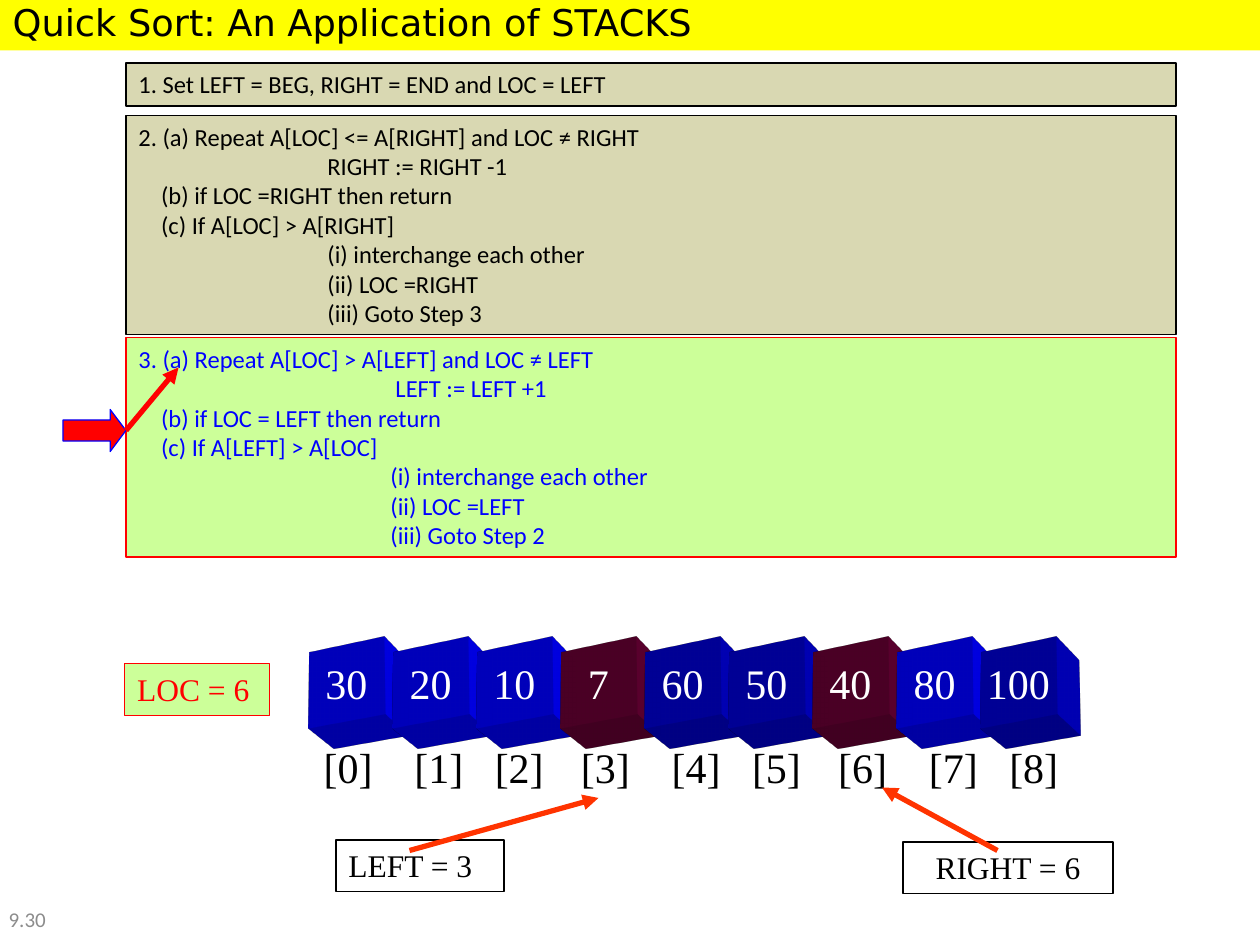
from lxml import etree
from pptx import Presentation
from pptx import util as u
from pptx.dml.color import RGBColor
from pptx.enum import shapes, text
from pptx.oxml import parse_xml
from pptx.oxml.ns import qn

NS = 'xmlns:a="http://schemas.openxmlformats.org/drawingml/2006/main"'
SERIF = "Times New Roman"


def rgb(h):
    """Turn a hex string into a colour."""
    return RGBColor.from_string(h)


def write(tf, content, size=14, font="Calibri", color="000000", align="LEFT",
          anchor="TOP", wrap=True):
    """Fill a frame with lines, each a string or an (indent in inches, string) pair."""
    tf.word_wrap = wrap
    tf.auto_size = text.MSO_AUTO_SIZE.NONE
    tf.vertical_anchor = getattr(text.MSO_ANCHOR, anchor)
    lines = [content] if isinstance(content, str) else content
    for i, line in enumerate(lines):
        indent, words = (0, line) if isinstance(line, str) else line
        p = tf.paragraphs[0] if i == 0 else tf.add_paragraph()
        pPr = p._p.get_or_add_pPr()
        pPr.set("marL", str(u.Inches(indent)))
        pPr.set("indent", "0")
        p.alignment = getattr(text.PP_ALIGN, align)
        r = p.add_run()
        r.text = words
        r.font.size, r.font.name = u.Pt(size), font
        r.font.color.rgb = rgb(color)


class Deck:
    """Holds the style and the current slide, on a grid of 120 columns by 90 rows."""

    def __init__(self):
        """Start a deck with one title-only slide."""
        self.prs = Presentation()
        self.prs.slide_width, self.prs.slide_height = u.Inches(10), u.Inches(7.5)
        self.s = self.prs.slides.add_slide(self.prs.slide_layouts[5])

    def at(self, *cells):
        """Convert grid columns and rows to lengths."""
        steps = self.prs.slide_width / 120, self.prs.slide_height / 90
        return [u.Emu(round(c * steps[i % 2])) for i, c in enumerate(cells)]

    def title(self, words, box, fill):
        """Place the title on a coloured band."""
        sp = self.s.shapes.title
        sp.left, sp.top, sp.width, sp.height = self.at(*box)
        sp.fill.solid()
        sp.fill.fore_color.rgb = rgb(fill)
        write(sp.text_frame, words, size=21, font="DejaVu Sans")

    def label(self, words, box, **fmt):
        """Add a plain text box."""
        sp = self.s.shapes.add_textbox(*self.at(*box))
        write(sp.text_frame, words, **fmt)

    def box(self, words, box, fill=None, line="000000", kind="RECTANGLE", **fmt):
        """Add a preset shape with optional text."""
        sp = self.s.shapes.add_shape(getattr(shapes.MSO_SHAPE, kind), *self.at(*box))
        sp.shadow.inherit = False
        if fill:
            sp.fill.solid()
            sp.fill.fore_color.rgb = rgb(fill)
        else:
            sp.fill.background()
        if line:
            sp.line.color.rgb, sp.line.width = rgb(line), u.Pt(0.75)
        else:
            sp.line.fill.background()
        if words:
            write(sp.text_frame, words, **fmt)
        return sp

    def cube(self, words, box, fill):
        """Add a square extruded into a cube."""
        sp = self.box(words, box, fill, None, size=24, font=SERIF, color="FFFFFF",
                      align="CENTER", anchor="MIDDLE", wrap=False)
        spPr = sp._element.spPr
        spPr.append(parse_xml(
            f'<a:scene3d {NS}><a:camera prst="legacyPerspectiveFront">'
            '<a:rot lat="20099997" lon="1500000" rev="0"/></a:camera>'
            '<a:lightRig rig="legacyFlat3" dir="b"/></a:scene3d>'))
        spPr.append(parse_xml(
            f'<a:sp3d {NS} extrusionH="430200" prstMaterial="legacyMatte">'
            f'<a:extrusionClr><a:srgbClr val="{fill}"/></a:extrusionClr></a:sp3d>'))

    def arrow(self, start, end, color):
        """Add a straight line with an arrowhead at its end."""
        c = self.s.shapes.add_connector(shapes.MSO_CONNECTOR.STRAIGHT, *self.at(*start, *end))
        c.line.color.rgb, c.line.width = rgb(color), u.Pt(3)
        etree.SubElement(c.line._get_or_add_ln(), qn("a:tailEnd"), type="triangle")
        etree.SubElement(c._element.spPr, qn("a:effectLst"))


def main():
    """Build the quick sort slide."""
    d = Deck()
    d.title("Quick Sort: An Application of STACKS", (0, -0.6, 120, 5.4), "FFFF00")

    blue, navy, wine = "0000FF", "0000CC", "660033"
    values = [30, 20, 10, 7, 60, 50, 40, 80, 100]
    fills = [blue, blue, blue, wine, navy, navy, wine, blue, navy]
    for i, (value, fill) in enumerate(zip(values, fills)):
        d.cube(str(value), (29 + 8 * i, 61, 8, 8), fill)
    for i in range(len(values)):
        left = 29.64 + 24.5 * (i // 3) + (0, 8.65, 16.3)[i % 3]
        d.label(f"[{i}]", (left, 70, 8, 6), size=24, font=SERIF)

    d.box("LOC = 6", (11.88, 63.2, 13.8, 4.92), "CCFF99", "FF0000",
          size=18, font=SERIF, color="FF0000", wrap=False)
    d.box("LEFT = 3", (32, 80, 16, 4.92), size=18, font=SERIF)
    d.box("RIGHT = 6", (86, 80.2, 20, 4.92), size=18, font=SERIF, align="CENTER")
    d.arrow((95, 81), (84, 75), "FF3300")
    d.arrow((39, 81), (57, 76), "FF3300")

    d.box("1. Set LEFT = BEG, RIGHT = END and LOC = LEFT", (12, 6, 100, 4.1), "D9D8B2")
    d.box(["2. (a) Repeat A[LOC] <= A[RIGHT] and LOC ≠ RIGHT",
           (1.5, "RIGHT := RIGHT -1"),
           (0.18, "(b) if LOC =RIGHT then return"),
           (0.18, "(c) If A[LOC] > A[RIGHT]"),
           (1.5, "(i) interchange each other"),
           (1.5, "(ii) LOC =RIGHT"),
           (1.5, "(iii) Goto Step 3")], (12, 11, 100, 20.9), "D9D8B2")
    d.box(["3. (a) Repeat A[LOC] > A[LEFT] and LOC ≠ LEFT",
           (2.04, "LEFT := LEFT +1"),
           (0.18, "(b) if LOC = LEFT then return"),
           (0.18, "(c) If A[LEFT] > A[LOC]"),
           (2, "(i) interchange each other"),
           (2, "(ii) LOC =LEFT"),
           (2, "(iii) Goto Step 2")], (12, 32.15, 100, 20.9), "CCFF99", "FF0000", color=blue)
    pointer = d.box(None, (6, 39, 6, 4), "FF0000", blue, kind="RIGHT_ARROW")
    pointer.adjustments[1] = 0.375
    d.arrow((12, 41), (17, 35), "FF0000")

    d.label("9.30", (-0.36, 85.1, 9.84, 4.92), size=12, color="8C8C8C", anchor="MIDDLE")
    d.prs.save("out.pptx")


if __name__ == "__main__":
    main()
